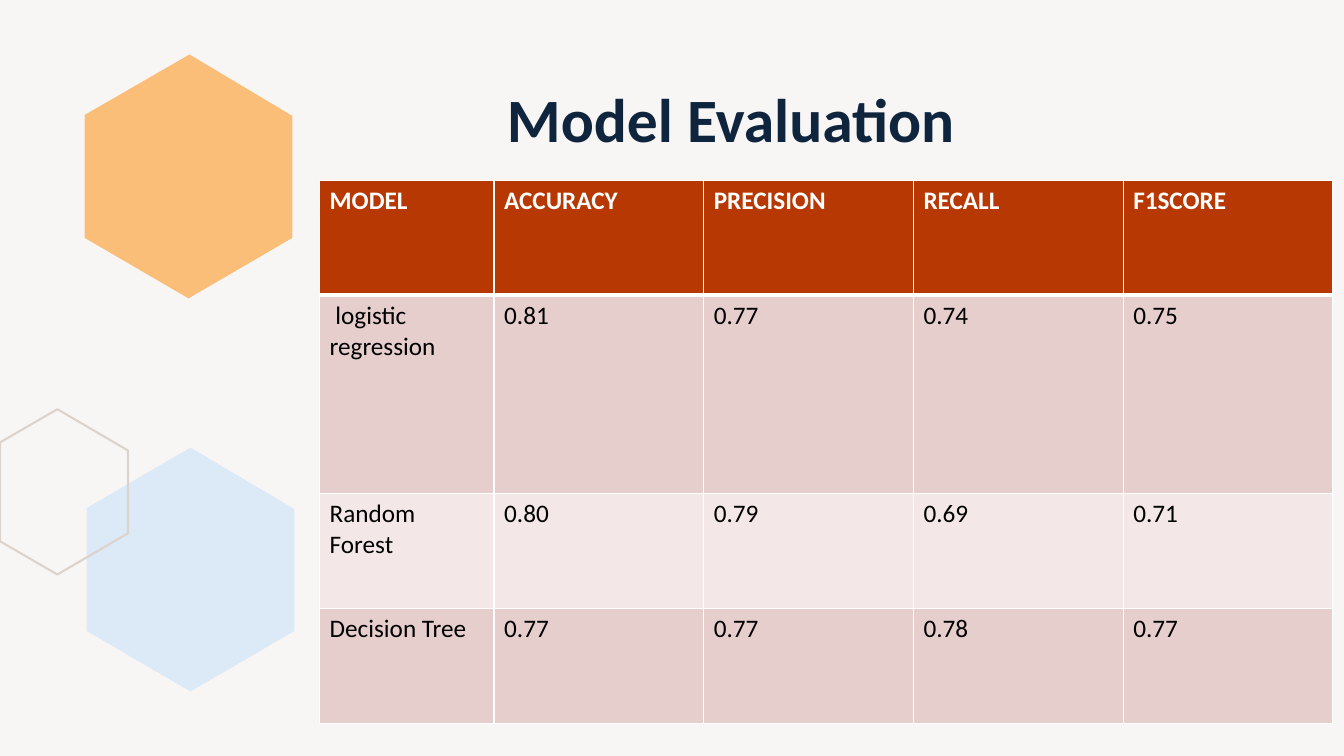
from lxml.etree import SubElement
from pptx import Presentation
from pptx.dml.color import RGBColor
from pptx.enum.text import MSO_ANCHOR as Anchor
from pptx.oxml.ns import qn
from pptx.util import Inches, Pt

SAND, WHITE = "DCD3CC", "FFFFFF"
HEADER_FILL, ROW_FILLS = "B83803", ("F3E8E7", "E6CECC")
ORANGE_HEXAGON = [(1.88, 0.54), (0.84, 1.14), (0.84, 2.36), (1.87, 2.96), (2.9, 2.36), (2.9, 1.15)]
BLUE_HEXAGON = [(1.89, 4.44), (0.86, 5.04), (0.86, 6.26), (1.89, 6.86), (2.92, 6.26), (2.92, 5.05)]
OUTLINE_HEXAGON = [(0.57, 4.06), (1.27, 4.47), (1.27, 5.29), (0.57, 5.7), (0, 5.37), (0, 4.39)]
SCORES = [
    ("MODEL", "ACCURACY", "PRECISION", "RECALL", "F1SCORE"),
    (" logistic regression", "0.81", "0.77", "0.74", "0.75"),
    ("Random Forest", "0.80", "0.79", "0.69", "0.71"),
    ("Decision Tree", "0.77", "0.77", "0.78", "0.77"),
]
COLUMN_WIDTHS = [1.73] + [2.08] * 4
ROW_HEIGHTS = [1.14, 1.97, 1.14, 1.14]


def color(value):
    """Turn a hex string into a colour."""
    return RGBColor.from_string(value)


def paint(fill, value):
    """Give a fill one solid colour."""
    fill.solid()
    fill.fore_color.rgb = color(value)


def write(frame, words, size, value, bold):
    """Write one formatted line of text into a frame."""
    run = frame.paragraphs[0].add_run()
    run.text = words
    for key, setting in {"name": "Calibri", "size": Pt(size), "bold": bold}.items():
        setattr(run.font, key, setting)
    run.font.color.rgb = color(value)


def add_hexagon(slide, corners, fill=None, line=None):
    """Draw a hexagon through its corners."""
    start, *rest = [(Inches(x), Inches(y)) for x, y in corners]
    builder = slide.shapes.build_freeform(*start)
    builder.add_line_segments(rest, close=True)
    hexagon = builder.convert_to_shape()
    hexagon.shadow.inherit = False
    if fill:
        paint(hexagon.fill, fill)
    else:
        hexagon.fill.background()
    if line:
        paint(hexagon.line.fill, line)
        hexagon.line.width = Pt(1.5)
    else:
        hexagon.line.fill.background()


def add_title(slide, words):
    """Add the slide heading."""
    heading = slide.shapes.add_textbox(Inches(4.93), Inches(0.14), Inches(7.22), Inches(1.45))
    frame = heading.text_frame
    for key, setting in {"word_wrap": True, "vertical_anchor": Anchor.BOTTOM}.items():
        setattr(frame, key, setting)
    frame.paragraphs[0].line_spacing = 0.9
    write(frame, words, 44, "0F253E", True)


def add_borders(cell, widths):
    """Put white borders on a cell, before its fill is set."""
    properties = cell._tc.get_or_add_tcPr()
    for side, width in widths.items():
        border = SubElement(properties, qn(f"a:ln{side}"), w=str(Pt(width)))
        solid = SubElement(border, qn("a:solidFill"))
        SubElement(solid, qn("a:srgbClr"), val=WHITE)


def add_scores(slide):
    """Add the table of model scores."""
    scores = slide.shapes.add_table(
        len(SCORES), len(COLUMN_WIDTHS), Inches(3.17), Inches(1.79),
        Inches(sum(COLUMN_WIDTHS)), Inches(sum(ROW_HEIGHTS)),
    ).table
    for column, width in zip(scores.columns, COLUMN_WIDTHS):
        column.width = Inches(width)
    for index, (row, height, values) in enumerate(zip(scores.rows, ROW_HEIGHTS, SCORES)):
        row.height = Inches(height)
        header = index == 0
        top, bottom = 3 if index == 1 else 1, 3 if header else 1
        for cell, words in zip(row.cells, values):
            add_borders(cell, {"L": 1, "R": 1, "T": top, "B": bottom})
            paint(cell.fill, HEADER_FILL if header else ROW_FILLS[index % 2])
            write(cell.text_frame, words, 18, WHITE if header else "000000", header)


def main():
    """Build the slide and save it."""
    deck = Presentation()
    deck.slide_width, deck.slide_height = Inches(13.33), Inches(7.5)
    slide = deck.slides.add_slide(deck.slide_layouts[6])
    paint(slide.background.fill, "F8F6F5")
    add_hexagon(slide, ORANGE_HEXAGON, fill="FABE79")
    add_hexagon(slide, BLUE_HEXAGON, fill="DCE9F7")
    add_hexagon(slide, OUTLINE_HEXAGON, line=SAND)
    add_title(slide, "Model Evaluation")
    add_scores(slide)
    deck.save("out.pptx")


if __name__ == "__main__":
    main()
